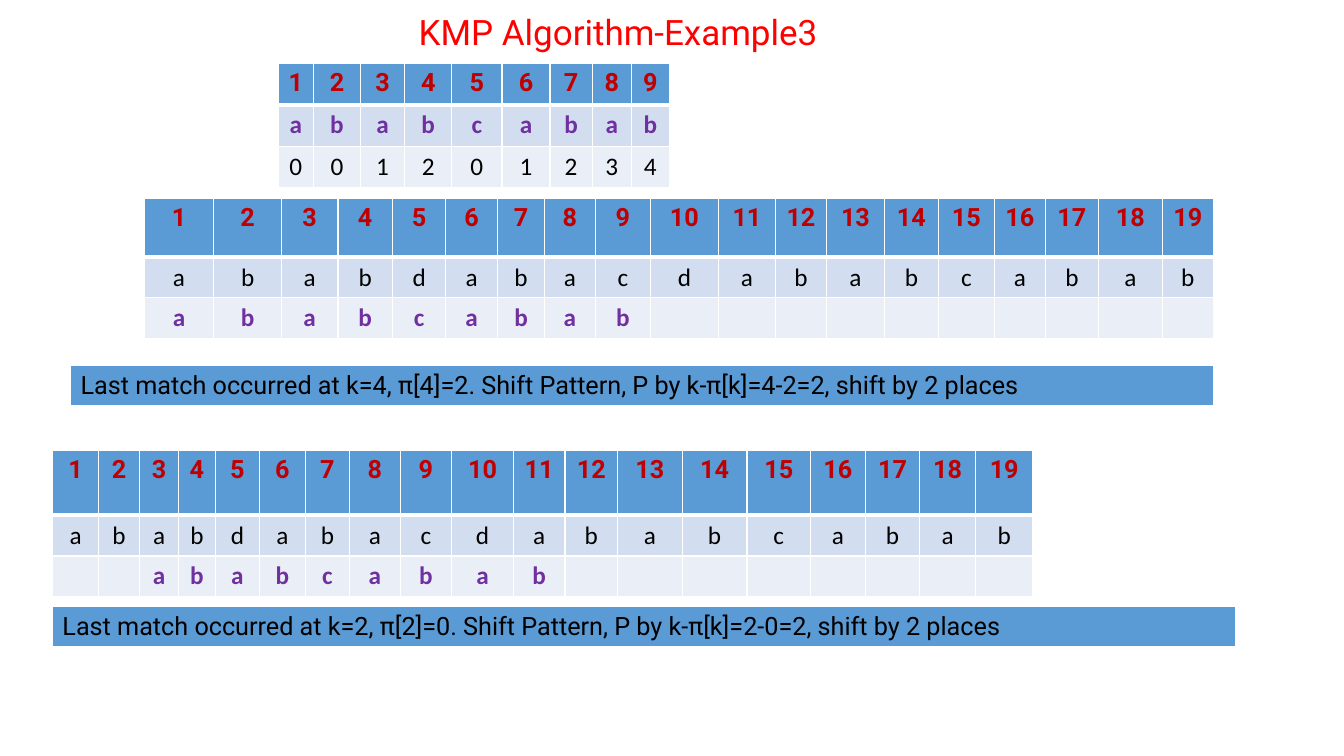
"""Build the KMP example slide: prefix table and two pattern alignment steps."""
import dataclasses

import lxml.etree
import pptx
import pptx.dml.color
import pptx.enum.text
import pptx.oxml.ns
import pptx.util


@dataclasses.dataclass(frozen=True)
class Theme:
    title: str = "FF0000"
    index: str = "C00000"
    pattern: str = "7030A0"
    plain: str = "000000"
    header_fill: str = "5B9BD5"
    band_fills: tuple = ("D2DEEF", "EAEFF7")
    border: str = "FFFFFF"
    heading_font: str = "Roboto"
    letter_font: str = "Calibri"
    title_size: int = 25
    cell_size: int = 18
    thin: int = 1
    thick: int = 3


theme = Theme()
rgb = pptx.dml.color.RGBColor.from_string
CENTER = pptx.enum.text.PP_ALIGN.CENTER
LEFT = pptx.enum.text.PP_ALIGN.LEFT

deck = pptx.Presentation()
deck.slide_width = pptx.util.Inches(13.33)
deck.slide_height = pptx.util.Inches(7.5)
slide = deck.slides.add_slide(deck.slide_layouts[5])
across = deck.slide_width / 100
down = deck.slide_height / 100


def write(frame, text, font, size, color, bold, align):
    frame.text = text
    paragraph = frame.paragraphs[0]
    paragraph.alignment = align
    for run in paragraph.runs:
        run.font.name = font
        run.font.size = pptx.util.Pt(size)
        run.font.bold = bold
        run.font.color.rgb = rgb(color)


def draw_border(cell, side, points):
    line = lxml.etree.SubElement(
        cell._tc.get_or_add_tcPr(), pptx.oxml.ns.qn(f"a:{side}"),
        w=str(pptx.util.Pt(points)))
    fill = lxml.etree.SubElement(line, pptx.oxml.ns.qn("a:solidFill"))
    lxml.etree.SubElement(fill, pptx.oxml.ns.qn("a:srgbClr"), val=theme.border)


heading = slide.shapes.title
heading.left, heading.top = int(2.85 * across), int(1.73 * down)
heading.width, heading.height = int(86.27 * across), int(5.47 * down)
write(heading.text_frame, "KMP Algorithm-Example3", theme.heading_font,
      theme.title_size, theme.title, False, CENTER)
heading.text_frame.vertical_anchor = pptx.enum.text.MSO_ANCHOR.MIDDLE
heading.text_frame.paragraphs[0].line_spacing = 0.9

pattern = "ababcabab"
searched = "ababdabacdababcabab"
shift = 2
index_style = (theme.heading_font, theme.index, True, CENTER)
pattern_style = (theme.letter_font, theme.pattern, True, CENTER)
plain_style = (theme.letter_font, theme.plain, False, CENTER)
note_style = (theme.heading_font, theme.plain, False, LEFT)

pattern_index = [str(n + 1) for n in range(len(pattern))]
searched_index = [str(n + 1) for n in range(len(searched))]
shifted_pattern = [""] * shift + list(pattern)

prefix_rows = [(pattern_index, index_style), (pattern, pattern_style),
               ("001201234", plain_style)]
first_rows = [(searched_index, index_style), (searched, plain_style),
              (pattern, pattern_style)]
second_rows = [(searched_index, index_style), (searched, plain_style),
               (shifted_pattern, pattern_style)]
first_note = [(["Last match occurred at k=4, π[4]=2. Shift Pattern, "
                "P by k-π[k]=4-2=2, shift by 2 places"], note_style)]
second_note = [(["Last match occurred at k=2, π[2]=0. Shift Pattern, "
                 "P by k-π[k]=2-0=2, shift by 2 places"], note_style)]

prefix_columns = [35, 47, 44, 47, 50, 48, 42, 39, 38]
first_columns = [69, 67, 56, 54, 53, 51, 47, 50, 55, 67,
                 57, 50, 58, 53, 56, 50, 53, 63, 51]
second_columns = [46, 40, 39, 36, 44, 45, 44, 50, 51, 61,
                  51, 52, 64, 64, 63, 54, 54, 55, 57]

grids = [
    (20.71, 8.4, 29.11, prefix_columns, [5.47] * 3, prefix_rows),
    (10.73, 26.27, 79.59, first_columns, [7.73, 5.4, 5.4], first_rows),
    (5.25, 48.4, 85.07, [1], [5.47], first_note),
    (3.9, 59.6, 72.99, second_columns, [8.53, 5.4, 5.4], second_rows),
    (3.9, 80.27, 88, [1], [5.47], second_note),
]

for left, top, width, columns, heights, rows in grids:
    grid = slide.shapes.add_table(
        len(rows), len(columns), int(left * across), int(top * down),
        int(width * across), int(sum(heights) * down)).table
    grid.horz_banding = False
    for column, weight in zip(grid.columns, columns):
        column.width = int(width * across * weight / sum(columns))
    for r, (values, (font, color, bold, align)) in enumerate(rows):
        grid.rows[r].height = int(heights[r] * down)
        for c in range(len(columns)):
            cell = grid.cell(r, c)
            if c < len(values) and values[c]:
                write(cell.text_frame, values[c], font, theme.cell_size,
                      color, bold, align)
            draw_border(cell, "lnL", theme.thin)
            draw_border(cell, "lnR", theme.thin)
            draw_border(cell, "lnT", theme.thick if r == 1 else theme.thin)
            draw_border(cell, "lnB", theme.thick if r == 0 else theme.thin)
            cell.fill.solid()
            cell.fill.fore_color.rgb = rgb(
                theme.band_fills[r - 1] if r else theme.header_fill)

deck.save("out.pptx")
